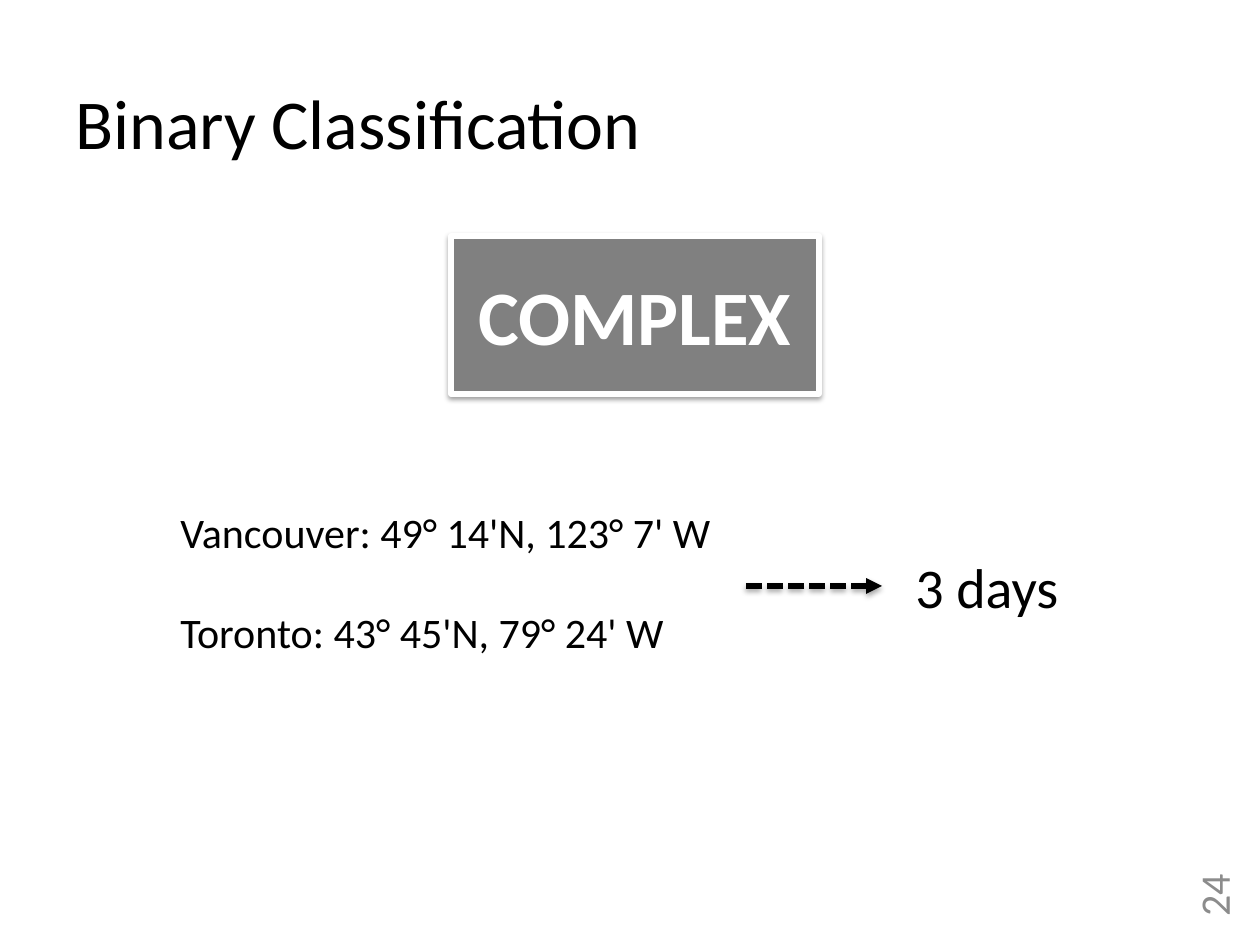
from dataclasses import dataclass

from lxml.etree import SubElement
from pptx import Presentation
from pptx.dml.color import RGBColor
from pptx.enum.dml import MSO_LINE
from pptx.enum.shapes import MSO_CONNECTOR, MSO_SHAPE
from pptx.enum.text import MSO_ANCHOR, PP_ALIGN
from pptx.oxml.ns import qn
from pptx.shapes.base import BaseShape
from pptx.slide import Slide
from pptx.util import Emu, Pt

PX_PER_INCH = 126
EMU_PER_INCH = 914400
BLACK = RGBColor(0x00, 0x00, 0x00)
WHITE = RGBColor(0xFF, 0xFF, 0xFF)
BOX_GRAY = RGBColor(0x80, 0x80, 0x80)
NUMBER_GRAY = RGBColor(0x8C, 0x8C, 0x8C)
FONT_NAME = "Calibri"


@dataclass(frozen=True)
class Label:
    text: str
    left: int
    top: int
    width: int
    height: int
    size: int
    color: RGBColor = BLACK
    bold: bool = False
    align: PP_ALIGN = PP_ALIGN.LEFT
    anchor: MSO_ANCHOR = MSO_ANCHOR.TOP
    rotation: int = 0


CITY_LEFT, CITY_TOP, CITY_STEP = 168, 500, 100
CITIES = ("Vancouver: 49° 14'N, 123° 7' W", "Toronto: 43° 45'N, 79° 24' W")

PAGE_NUMBER = Label("24", 1171, 877, 84, 53, 24, NUMBER_GRAY,
                    align=PP_ALIGN.RIGHT, anchor=MSO_ANCHOR.MIDDLE, rotation=270)
TITLE = Label("Binary Classification", 63, 73, 1144, 97, 40)
COMPLEX_BOX = Label("COMPLEX", 451, 236, 368, 158, 44, WHITE, bold=True,
                    align=PP_ALIGN.CENTER, anchor=MSO_ANCHOR.MIDDLE)
DURATION = Label("3 days", 903, 546, 174, 81, 32)
CITY_LABELS = [Label(city, CITY_LEFT, CITY_TOP + row * CITY_STEP, 567, 63, 24)
               for row, city in enumerate(CITIES)]


def px(length: int) -> Emu:
    return Emu(round(length * EMU_PER_INCH / PX_PER_INCH))


def bounds(label: Label) -> tuple[Emu, ...]:
    return tuple(px(n) for n in (label.left, label.top, label.width, label.height))


def write_text(shape: BaseShape, label: Label) -> None:
    frame = shape.text_frame
    frame.word_wrap = True
    frame.vertical_anchor = label.anchor
    paragraph = frame.paragraphs[0]
    paragraph.alignment = label.align
    run = paragraph.add_run()
    run.text = label.text
    font_format = {"name": FONT_NAME, "size": Pt(label.size), "bold": label.bold}
    for attribute, value in font_format.items():
        setattr(run.font, attribute, value)
    run.font.color.rgb = label.color


def add_label(slide: Slide, label: Label) -> None:
    box = slide.shapes.add_textbox(*bounds(label))
    box.rotation = label.rotation
    write_text(box, label)


def cast_shadow(shape: BaseShape, distance: float, opacity: int) -> None:
    """Add a soft black shadow straight below; call after the line is set."""
    effects = SubElement(shape._element.spPr, qn("a:effectLst"))
    shadow = SubElement(effects, qn("a:outerShdw"), blurRad=str(Pt(3.1)),
                        dist=str(Pt(distance)), dir="5400000", rotWithShape="0")
    color = SubElement(shadow, qn("a:srgbClr"), val=str(BLACK))
    SubElement(color, qn("a:alpha"), val=str(opacity * 1000))


def add_complex_box(slide: Slide) -> None:
    box = slide.shapes.add_shape(MSO_SHAPE.RECTANGLE, *bounds(COMPLEX_BOX))
    box.fill.solid()
    box.fill.fore_color.rgb = BOX_GRAY
    box.line.color.rgb = WHITE
    box.line.width = Pt(3)
    cast_shadow(box, distance=1.6, opacity=38)
    write_text(box, COMPLEX_BOX)


def add_dashed_arrow(slide: Slide, start: int, end: int, y: int) -> None:
    arrow = slide.shapes.add_connector(MSO_CONNECTOR.STRAIGHT,
                                       px(start), px(y), px(end), px(y))
    arrow.line.color.rgb = BLACK
    arrow.line.width = Pt(3)
    arrow.line.dash_style = MSO_LINE.SQUARE_DOT
    SubElement(arrow.line._get_or_add_ln(), qn("a:tailEnd"), type="triangle")
    cast_shadow(arrow, distance=1.8, opacity=35)


def main() -> None:
    presentation = Presentation()
    presentation.slide_width = px(1260)
    presentation.slide_height = px(945)
    slide = presentation.slides.add_slide(presentation.slide_layouts[6])
    add_label(slide, PAGE_NUMBER)
    add_label(slide, TITLE)
    add_complex_box(slide)
    add_label(slide, DURATION)
    add_dashed_arrow(slide, start=746, end=882, y=586)
    for city_label in CITY_LABELS:
        add_label(slide, city_label)
    presentation.save("out.pptx")


if __name__ == "__main__":
    main()
